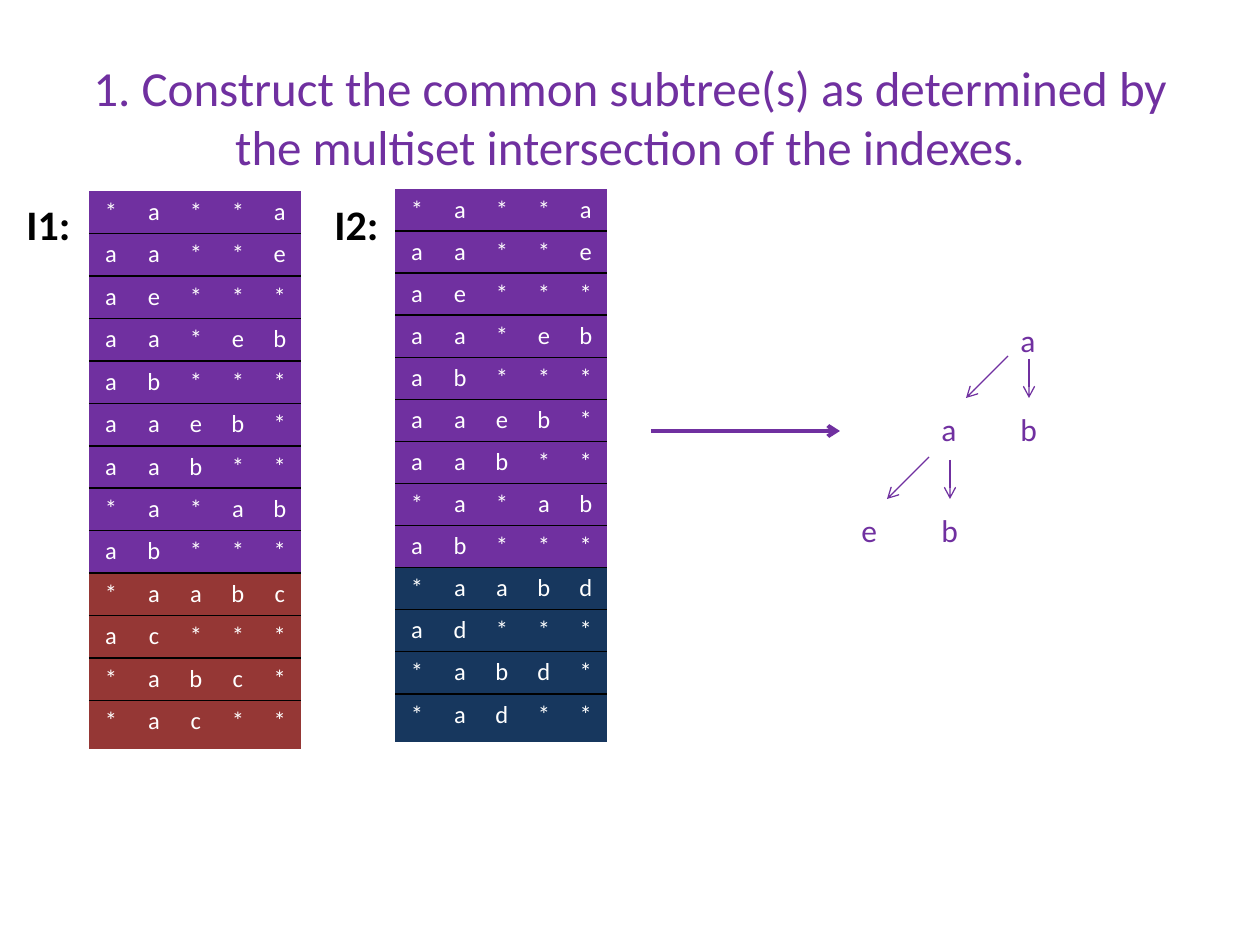
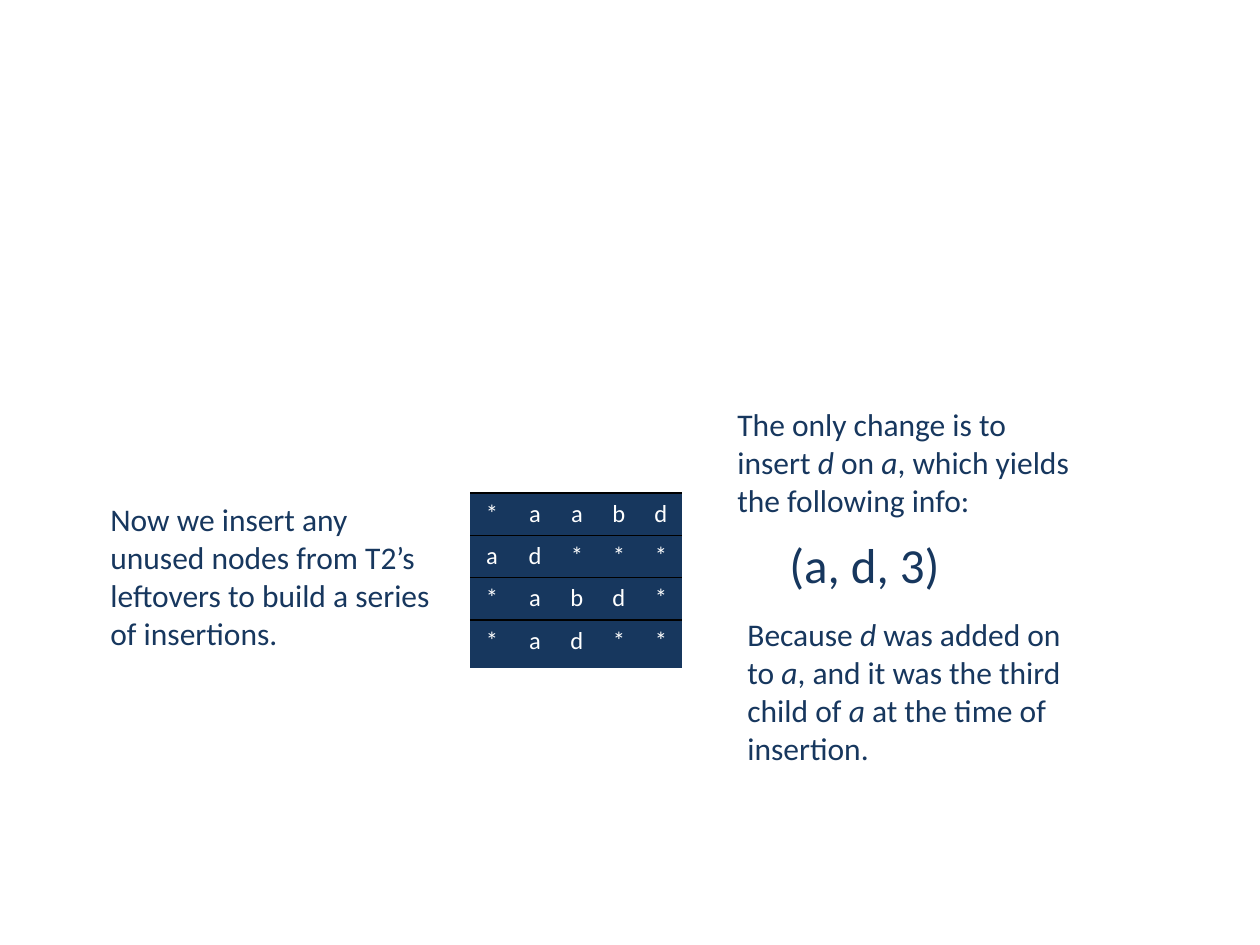
from lxml import etree
from pptx import Presentation
from pptx import util as u
from pptx.dml.color import RGBColor
from pptx.enum import shapes, text
from pptx.oxml import ns

SCALE = 914400 / 126
FONT = "Calibri"
PURPLE, RED, NAVY = "7030A0", "953735", "17375E"
BLACK, WHITE = "000000", "FFFFFF"
COLUMN_WIDTHS = (44, 42, 42, 42, 42)
LAST_ROW_HEIGHT = 48

COMMON_ROWS = ["*a**a", "aa**e", "ae***", "aa*eb", "ab***", "aaeb*", "aab**", "*a*ab", "ab***"]
LEFTOVERS_1 = ["*aabc", "ac***", "*abc*", "*ac**"]
LEFTOVERS_2 = ["*aabd", "ad***", "*abd*", "*ad**"]


def px(length):
    """Turn px into EMU."""
    return u.Emu(round(length * SCALE))


def color(value):
    """Turn a hex string into a colour."""
    return RGBColor.from_string(value)


def format_run(run, size, ink, bold=False, italic=False):
    """Set the font of one run."""
    font = run.font
    font.name, font.size = FONT, u.Pt(size)
    font.bold, font.italic = bold, italic
    font.color.rgb = color(ink)


def add_text(slide, box, words, size, ink, bold=False):
    """Add a wrapping text box; words between underscores are italic."""
    frame = slide.shapes.add_textbox(*map(px, box)).text_frame
    frame.word_wrap = True
    paragraph = frame.paragraphs[0]
    for index, part in enumerate(words.split("_")):
        run = paragraph.add_run()
        run.text = part
        format_run(run, size, ink, bold, index % 2 == 1)


def add_arrow(slide, start, end, width=0.75):
    """Add a purple line with an open arrowhead at its end."""
    line = slide.shapes.add_connector(
        shapes.MSO_CONNECTOR.STRAIGHT, *map(px, (*start, *end)))
    line.line.color.rgb = color(PURPLE)
    line.line.width = u.Pt(width)
    outline = line.line._get_or_add_ln()
    etree.SubElement(outline, ns.qn("a:tailEnd"), type="arrow")
    etree.SubElement(line._element.spPr, ns.qn("a:effectLst"))


def set_borders(cell, visible):
    """Draw black lines on the visible sides of a cell and clear the others."""
    properties = cell._tc.get_or_add_tcPr()
    for side in "LRTB":
        line = etree.SubElement(properties, ns.qn(f"a:ln{side}"), w=str(u.Pt(1)))
        if side in visible:
            fill = etree.SubElement(line, ns.qn("a:solidFill"))
            etree.SubElement(fill, ns.qn("a:srgbClr"), val=BLACK)
        else:
            etree.SubElement(line, ns.qn("a:noFill"))


def add_index_table(slide, box, groups, top_line=False):
    """Add a table of index rows from (fill, rows) groups."""
    rows = [(fill, row) for fill, group in groups for row in group]
    last = len(rows) - 1
    table = slide.shapes.add_table(len(rows), len(COLUMN_WIDTHS), *map(px, box)).table
    for column, width in zip(table.columns, COLUMN_WIDTHS):
        column.width = px(width)
    row_height = (box[3] - LAST_ROW_HEIGHT) / last
    for y, (fill, labels) in enumerate(rows):
        table.rows[y].height = px(LAST_ROW_HEIGHT if y == last else row_height)
        sides = ("T" if y or top_line else "") + ("B" if y < last else "")
        for x, label in enumerate(labels):
            cell = table.cell(y, x)
            cell.margin_left = cell.margin_right = cell.margin_bottom = px(4)
            cell.margin_top = px(6)
            set_borders(cell, sides)
            cell.fill.solid()
            cell.fill.fore_color.rgb = color(fill)
            paragraph = cell.text_frame.paragraphs[0]
            paragraph.text = label
            paragraph.alignment = text.PP_ALIGN.CENTER
            format_run(paragraph.runs[0], 14, WHITE)


def add_title(slide, box, words):
    """Place and format the title placeholder."""
    title = slide.shapes.title
    title.left, title.top, title.width, title.height = map(px, box)
    title.text_frame.text = words
    title.text_frame.vertical_anchor = text.MSO_ANCHOR.MIDDLE
    paragraph = title.text_frame.paragraphs[0]
    paragraph.alignment = text.PP_ALIGN.CENTER
    format_run(paragraph.runs[0], 28, PURPLE)


def add_subtree(slide, left, top):
    """Draw the common subtree, each parent with a left and a lower child."""
    node_size = 53
    columns = [left, left + 80, left + 159]
    levels = [top, top + 89, top + 190]
    nodes = [("a", 2, 0), ("a", 1, 1), ("b", 2, 1), ("e", 0, 2), ("b", 1, 2)]
    for label, column, level in nodes:
        box = columns[column], levels[level], node_size, node_size
        add_text(slide, box, label, 18, PURPLE)
    for parent_x, child_y in ((columns[2], levels[1]), (columns[1], levels[2])):
        end_y = child_y - 6
        add_arrow(slide, (parent_x, end_y - 42), (parent_x - 42, end_y))
        add_arrow(slide, (parent_x + 21, end_y - 39), (parent_x + 21, end_y))


def build_intersection_slide(presentation):
    """Build the slide that turns two indexes into a common subtree."""
    slide = presentation.slides.add_slide(presentation.slide_layouts[5])
    add_title(slide, (63, 38, 1134, 157),
              "1. Construct the common subtree(s) as determined by "
              "the multiset intersection of the indexes.")
    indexes = [
        ("I1:", 14, (89, 191, 212, 558), RED, LEFTOVERS_1),
        ("I2:", 322, (395, 189, 212, 553), NAVY, LEFTOVERS_2),
    ]
    for label, label_left, box, fill, leftovers in indexes:
        add_index_table(slide, box, [(PURPLE, COMMON_ROWS), (fill, leftovers)])
        add_text(slide, (label_left, 192, 77, 63), label, 24, BLACK, bold=True)
    add_subtree(slide, 849, 315)
    add_arrow(slide, (651, 431), (840, 431), 2.25)


def build_insertion_slide(presentation):
    """Build the slide that derives insertions from the leftovers."""
    slide = presentation.slides.add_slide(presentation.slide_layouts[6])
    notes = [
        (98, 494, 165, 18, "Now we insert any unused nodes from T2’s leftovers "
                           "to build a series of insertions."),
        (725, 399, 127, 18, "The only change is to insert _d_ on _a_, which yields "
                            "the following info:"),
        (777, 528, 72, 28, "(a, d, 3)"),
        (735, 609, 165, 18, "Because _d_ was added on to _a_, and it was the third "
                            "child of _a_ at the time of insertion."),
    ]
    for left, top, height, size, words in notes:
        add_text(slide, (left, top, 357, height), words, size, NAVY)
    add_index_table(slide, (470, 493, 212, 175), [(NAVY, LEFTOVERS_2)], top_line=True)


def main():
    """Build and save the presentation."""
    presentation = Presentation()
    presentation.slide_width, presentation.slide_height = px(1260), px(945)
    build_intersection_slide(presentation)
    build_insertion_slide(presentation)
    presentation.save("out.pptx")


if __name__ == "__main__":
    main()
